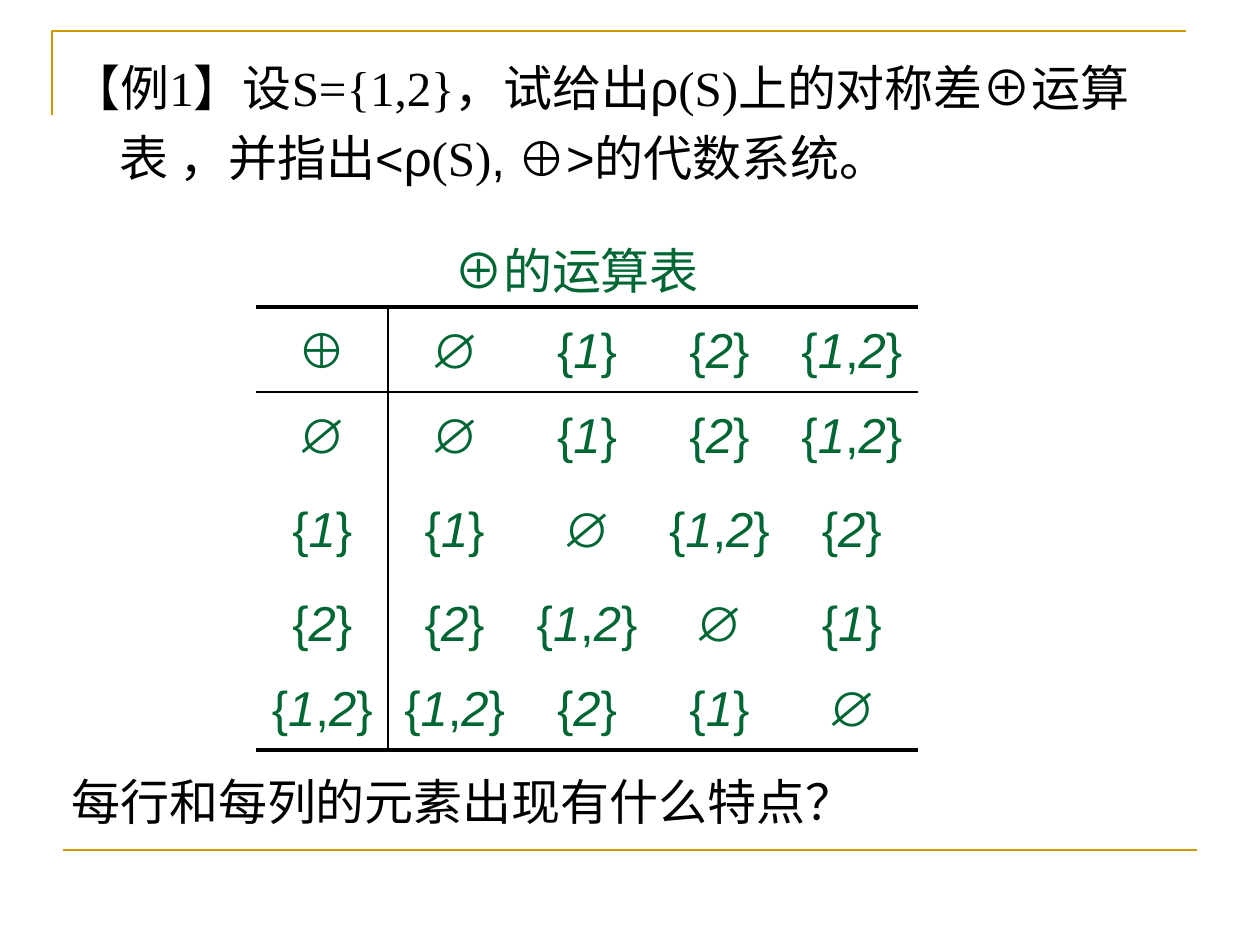
from lxml import etree
from pptx import Presentation
from pptx.dml.color import RGBColor
from pptx.enum.shapes import MSO_CONNECTOR
from pptx.enum.text import MSO_ANCHOR, PP_ALIGN
from pptx.oxml.ns import qn
from pptx.util import Pt

STRAIGHT = MSO_CONNECTOR.STRAIGHT
MIDDLE = MSO_ANCHOR.MIDDLE
CENTER = PP_ALIGN.CENTER
BLACK, GREEN, GOLD = "000000", "006633", "CC9900"
SANS, SERIF = "Arial", "Times New Roman"
PLAIN_TABLE_STYLE = "{2D5ABB26-0587-4C30-8999-92F81FD0307C}"
SUBSETS = ["∅", "{1}", "{2}", "{1,2}"]
ROW_HEIGHTS = [85, 85, 103, 85, 85]
THIN, MEDIUM, THICK = 1, 1.5, 2.25


def px(n):
    return round(n * 914400 / 126)


def rgb(color):
    return RGBColor.from_string(color)


def add_run(p, text, font, color, italic=False):
    r = p.add_run()
    r.text = text
    r.font.name = font
    r.font.size = Pt(28)
    r.font.italic = italic
    r.font.color.rgb = rgb(color)


def add_rule(s, x1, y1, x2, y2, color, width):
    rule = s.shapes.add_connector(STRAIGHT, px(x1), px(y1), px(x2), px(y2))
    rule.line.color.rgb = rgb(color)
    rule.line.width = Pt(width)
    etree.SubElement(rule._element.spPr, qn("a:effectLst"))


def add_frame(s, x, y, w, h):
    """Gold corner at the top left and gold rule at the bottom."""
    builder = s.shapes.build_freeform(px(x), px(y + 84))
    builder.add_line_segments([(px(x), px(y)), (px(x + w), px(y))], close=False)
    corner = builder.convert_to_shape()
    corner.fill.background()
    corner.shadow.inherit = False
    corner.line.color.rgb = rgb(GOLD)
    corner.line.width = Pt(MEDIUM)
    add_rule(s, x + 11, y + h, x + 11 + w, y + h, GOLD, MEDIUM)


def add_problem(s, x, y, w, h):
    body = s.placeholders[1]
    body.left, body.top, body.width, body.height = px(x), px(y), px(w), px(h)
    p = body.text_frame.paragraphs[0]
    p.line_spacing = 1.2
    p.space_before = Pt(0)
    pPr = p._p.get_or_add_pPr()
    pPr.set("marL", str(px(48)))
    pPr.set("indent", str(-px(48)))
    etree.SubElement(pPr, qn("a:buNone"))
    for text, font in [("【例1】设S={1,2}，试给出", SERIF), ("ρ", SANS),
                       ("(S)上的对称差⊕运算表 ，并指出", SERIF), ("<ρ", SANS),
                       ("(S)", SERIF), (",", SANS), (" ⊕", SERIF),
                       (">的代数系统。", SANS)]:
        add_run(p, text, font, BLACK)


def add_line_of_text(s, x, y, w, h, text, font, color, align=None):
    tf = s.shapes.add_textbox(px(x), px(y), px(w), px(h)).text_frame
    tf.word_wrap = True
    tf.vertical_anchor = MIDDLE
    p = tf.paragraphs[0]
    p.alignment = align
    add_run(p, text, font, color)


def add_operation_table(s, x, y, w):
    n = len(SUBSETS)
    rows = [["⊕"] + SUBSETS]
    rows += [[SUBSETS[i]] + [SUBSETS[i ^ j] for j in range(n)] for i in range(n)]
    h = sum(ROW_HEIGHTS)
    table = s.shapes.add_table(n + 1, n + 1, px(x), px(y), px(w), px(h)).table
    table.first_row = table.horz_banding = False
    table._tbl.tblPr.find(qn("a:tableStyleId")).text = PLAIN_TABLE_STYLE
    for row, height in zip(table.rows, ROW_HEIGHTS):
        row.height = px(height)
    for i, row in enumerate(rows):
        for j, text in enumerate(row):
            cell = table.cell(i, j)
            cell.fill.background()
            cell.vertical_anchor = MIDDLE
            cell.margin_left = cell.margin_right = 0
            cell.margin_top, cell.margin_bottom = px(8), px(4)
            p = cell.text_frame.paragraphs[0]
            p.alignment = CENTER
            for char in text:
                add_run(p, char, SANS, GREEN, italic=char.isdigit())

    for offset, width in [(0, THICK), (ROW_HEIGHTS[0], THIN), (h, THICK)]:
        add_rule(s, x, y + offset, x + w, y + offset, BLACK, width)
    divider = x + w / (n + 1)
    add_rule(s, divider, y, divider, y + h, BLACK, THIN)


def main():
    prs = Presentation()
    prs.slide_width, prs.slide_height = px(1260), px(945)
    s = prs.slides.add_slide(prs.slide_layouts[1])
    title = s.shapes.title._element
    title.getparent().remove(title)
    add_frame(s, 52, 31, 1134, 819)
    add_problem(s, 59, 39, 1131, 157)
    add_line_of_text(s, 377, 235, 399, 70, "⊕的运算表", SANS, GREEN, CENTER)
    add_operation_table(s, 256, 307, 662)
    add_line_of_text(s, 59, 766, 1131, 70, "每行和每列的元素出现有什么特点？",
                     SERIF, BLACK)
    prs.save("out.pptx")


if __name__ == "__main__":
    main()
